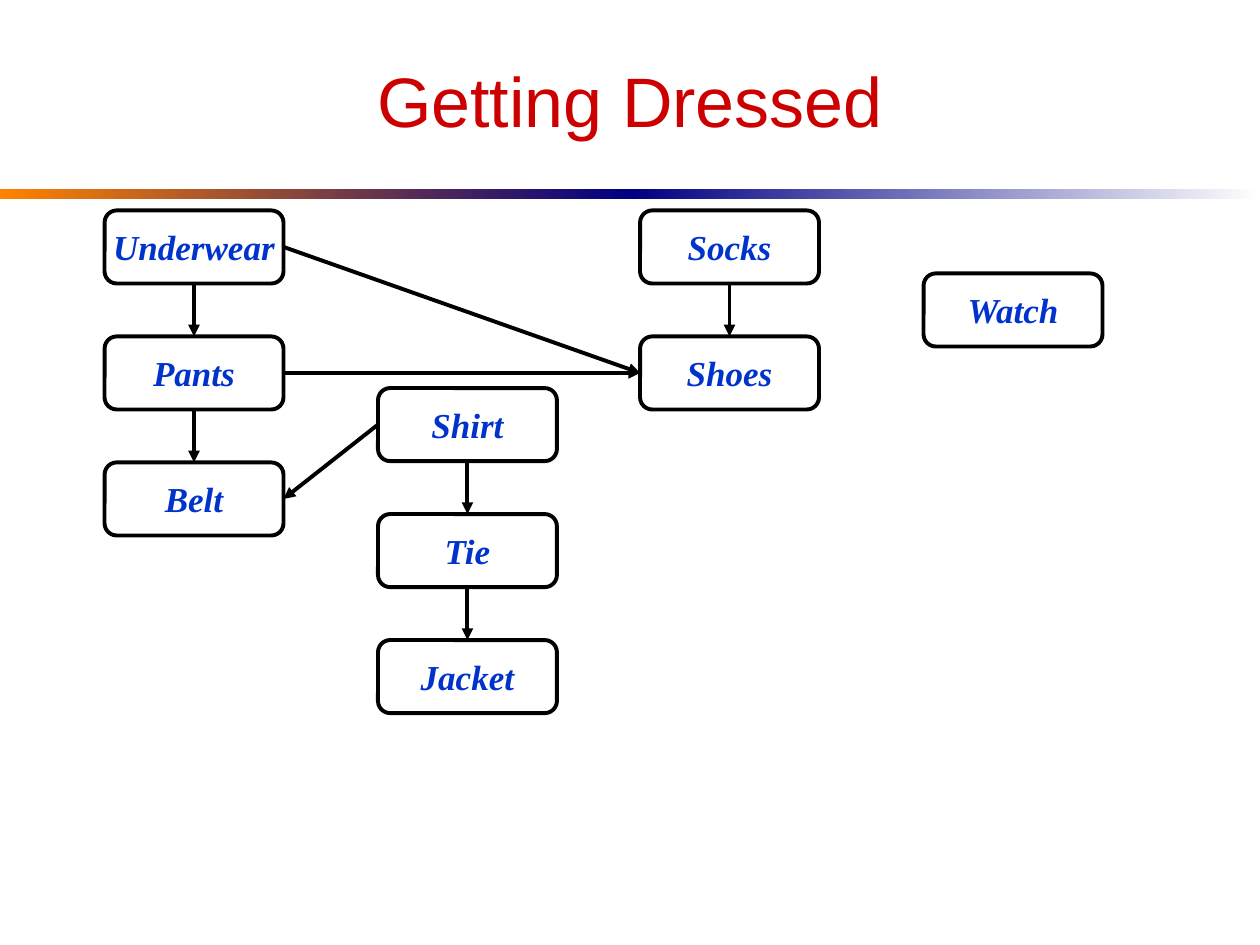
from dataclasses import dataclass

from lxml.etree import SubElement
from pptx import Presentation
from pptx.dml.color import RGBColor
from pptx.enum.shapes import MSO_CONNECTOR, MSO_SHAPE
from pptx.enum.text import MSO_ANCHOR, PP_ALIGN
from pptx.oxml.ns import qn
from pptx.shapes.autoshape import Shape
from pptx.slide import Slide
from pptx.util import Inches, Pt

BLACK = "000000"
NAVY = "000082"
BOX_WIDTH, BOX_HEIGHT = 1.42, 0.58
ROW_STEP = 1
LINE_WIDTH = 2.25
TOP, LEFT, BOTTOM, RIGHT = range(4)


@dataclass(frozen=True)
class Column:
    left: float
    top: float
    garments: tuple[str, ...]


@dataclass(frozen=True)
class Dependency:
    before: str
    after: str
    start_side: int = BOTTOM
    end_side: int = TOP


COLUMNS = (
    Column(0.83, 1.67, ("Underwear", "Pants", "Belt")),
    Column(5.08, 1.67, ("Socks", "Shoes")),
    Column(3, 3.08, ("Shirt", "Tie", "Jacket")),
    Column(7.33, 2.17, ("Watch",)),
)

CROSS_DEPENDENCIES = (
    Dependency("Shirt", "Belt", LEFT, RIGHT),
    Dependency("Underwear", "Shoes", RIGHT, LEFT),
    Dependency("Pants", "Shoes", RIGHT, LEFT),
)


def rgb(hex_code: str) -> RGBColor:
    return RGBColor.from_string(hex_code)


def write_centred(shape: Shape, text: str, font_name: str, size: float,
                  color: str, emphasis: bool = False) -> None:
    frame = shape.text_frame
    frame.text = text
    frame.vertical_anchor = MSO_ANCHOR.MIDDLE
    paragraph = frame.paragraphs[0]
    paragraph.alignment = PP_ALIGN.CENTER
    font = paragraph.runs[0].font
    font.name = font_name
    font.size = Pt(size)
    font.bold = font.italic = emphasis
    font.color.rgb = rgb(color)


def draw_gradient_bar(slide: Slide, left: float, start: str, end: str) -> None:
    bar = slide.shapes.add_shape(
        MSO_SHAPE.RECTANGLE, Inches(left), Inches(1.5), Inches(5), Inches(0.08))
    bar.shadow.inherit = False
    bar.line.fill.background()
    bar.fill.gradient()
    bar.fill.gradient_angle = 0
    for stop, position, color in zip(bar.fill.gradient_stops, (0, 1), (start, end)):
        stop.position = position
        stop.color.rgb = rgb(color)


def draw_title(slide: Slide, text: str) -> None:
    title = slide.shapes.add_textbox(
        Inches(0.5), Inches(0.25), Inches(9), Inches(1.08))
    title.text_frame.word_wrap = True
    write_centred(title, text, "Arial", 40, "CC0000")


def draw_garment(slide: Slide, name: str, left: float, top: float) -> Shape:
    box = slide.shapes.add_shape(
        MSO_SHAPE.ROUNDED_RECTANGLE, Inches(left), Inches(top),
        Inches(BOX_WIDTH), Inches(BOX_HEIGHT))
    box.shadow.inherit = False
    box.fill.background()
    box.line.color.rgb = rgb(BLACK)
    box.line.width = Pt(LINE_WIDTH)
    box.text_frame.word_wrap = False
    write_centred(box, name, "Times New Roman", 20, "0033CC", emphasis=True)
    return box


def draw_dependency(slide: Slide, boxes: dict[str, Shape], link: Dependency) -> None:
    arrow = slide.shapes.add_connector(MSO_CONNECTOR.STRAIGHT, 0, 0, 0, 0)
    arrow.begin_connect(boxes[link.before], link.start_side)
    arrow.end_connect(boxes[link.after], link.end_side)
    arrow.line.color.rgb = rgb(BLACK)
    arrow.line.width = Pt(LINE_WIDTH)
    properties = arrow.element.spPr
    SubElement(properties.find(qn("a:ln")), qn("a:tailEnd"), type="triangle")
    SubElement(properties, qn("a:effectLst"))


def main() -> None:
    presentation = Presentation()
    presentation.slide_width = Inches(10)
    presentation.slide_height = Inches(7.5)
    slide = presentation.slides.add_slide(presentation.slide_layouts[6])

    draw_gradient_bar(slide, 0, "FF8200", NAVY)
    draw_gradient_bar(slide, 5, NAVY, "FFFFFF")
    draw_title(slide, "Getting Dressed")

    boxes = {
        name: draw_garment(slide, name, column.left, column.top + row * ROW_STEP)
        for column in COLUMNS
        for row, name in enumerate(column.garments)
    }
    column_dependencies = [
        Dependency(before, after)
        for column in COLUMNS
        for before, after in zip(column.garments, column.garments[1:])
    ]
    for link in (*column_dependencies, *CROSS_DEPENDENCIES):
        draw_dependency(slide, boxes, link)

    presentation.save("out.pptx")


if __name__ == "__main__":
    main()
